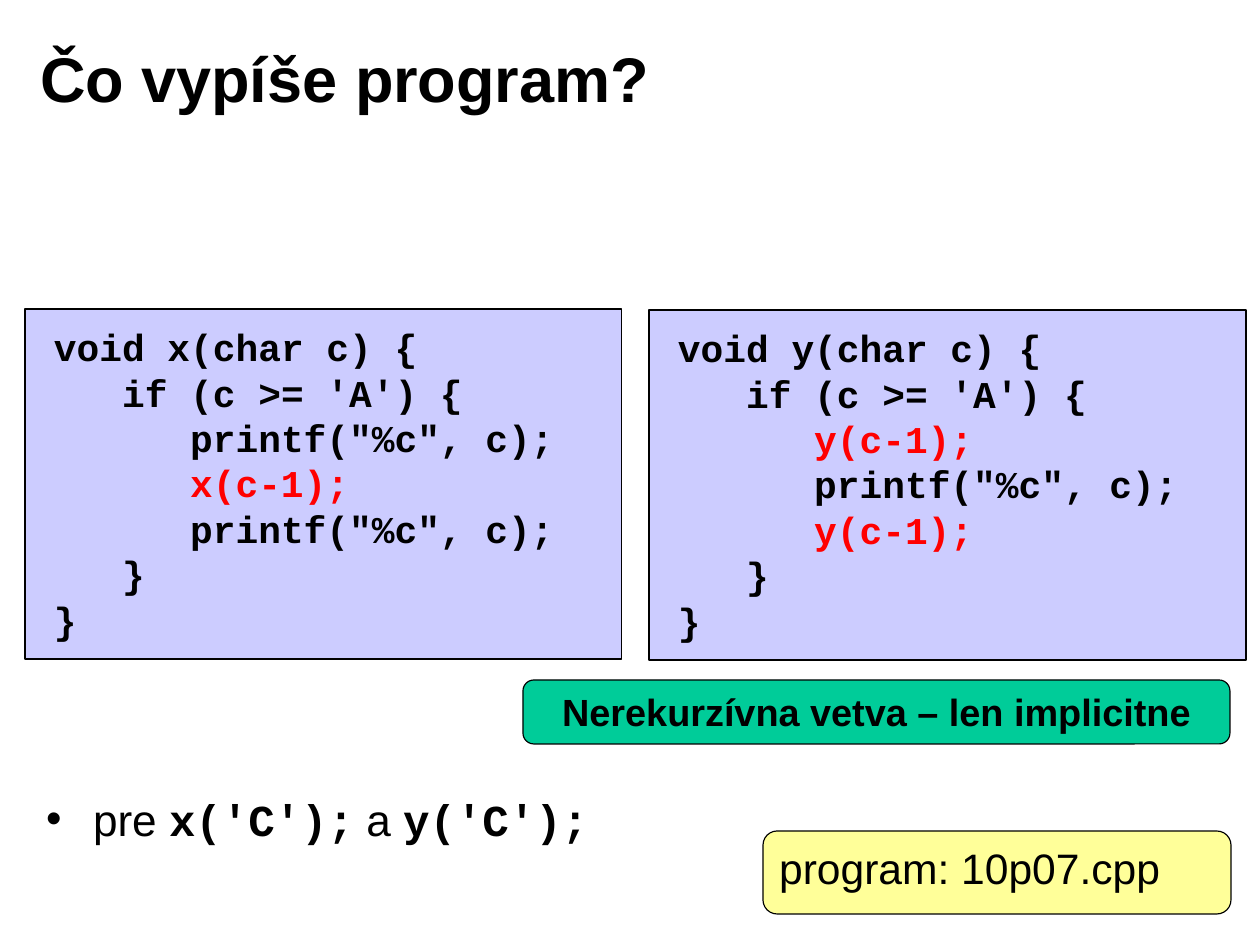
from dataclasses import dataclass

from lxml.etree import SubElement
from pptx import Presentation
from pptx.dml.color import RGBColor
from pptx.enum.shapes import MSO_SHAPE
from pptx.enum.text import MSO_ANCHOR, MSO_AUTO_SIZE, PP_ALIGN
from pptx.oxml.ns import qn
from pptx.util import Emu, Pt

SLIDE_SIZE = (1260, 942)
TITLE = "Čo vypíše program?"
TASK = [("pre ", "text"), ("x('C');", "code"), (" a ", "text"), ("y('C');", "code")]
BRANCH_NOTE = "Nerekurzívna vetva – len implicitne"
FILE_NOTE = "program: 10p07.cpp"
PANELS = [
    {
        "corner": (25, 309),
        "recursion": "x(c-1);",
        "lines": [
            "void x(char c) {",
            "   if (c >= 'A') {",
            "      printf(\"%c\", c);",
            "      x(c-1);",
            "      printf(\"%c\", c);",
            "   }",
            "}",
        ],
    },
    {
        "corner": (649, 310),
        "recursion": "y(c-1);",
        "lines": [
            "void y(char c) {",
            "   if (c >= 'A') {",
            "      y(c-1);",
            "      printf(\"%c\", c);",
            "      y(c-1);",
            "   }",
            "}",
        ],
    },
]
PANEL_SIZE = (597, 350)
CODE_OFFSET = (18, 9)
CODE_SIZE = (527, 333)
TITLE_AREA = (28, 19, 1012, 116)
TASK_AREA = (34, 785, 1211, 83)
FILE_AREA = (763, 831, 468, 83)
BRANCH_AREA = (523, 680, 707, 64)
BULLET_INDENT = 47
WIDE_INSETS = (12, 7)
NARROW_INSETS = (11, 6)
SCALE = 914400 / 113.5


@dataclass(frozen=True)
class Theme:
    text_font: str = "Arial"
    code_font: str = "Courier New"
    ink: str = "000000"
    accent: str = "FF0000"
    panel: str = "CCCCFF"
    branch: str = "00CC99"
    file: str = "FFFF99"
    title_size: int = 40
    task_size: int = 28
    file_size: int = 27
    code_size: int = 24
    line_width: float = 0.75


THEME = Theme()


def px(value):
    return Emu(round(value * SCALE))


def add_span(para, text, size, font=THEME.text_font, bold=False, color=THEME.ink):
    span = para.add_run()
    span.text = text
    span.font.name = font
    span.font.size = Pt(size)
    span.font.bold = bold
    span.font.color.rgb = RGBColor.from_string(color)


def prepare_frame(box, insets, anchor=MSO_ANCHOR.TOP, wrap=True):
    frame = box.text_frame
    frame.word_wrap = wrap
    frame.auto_size = MSO_AUTO_SIZE.NONE
    frame.vertical_anchor = anchor
    frame.margin_left = frame.margin_right = px(insets[0])
    frame.margin_top = frame.margin_bottom = px(insets[1])
    para = frame.paragraphs[0]
    para.alignment = PP_ALIGN.LEFT
    return para


def add_text(shapes, area, insets, **options):
    box = shapes.add_textbox(*map(px, area))
    return prepare_frame(box, insets, **options)


def add_block(shapes, kind, area, fill):
    block = shapes.add_shape(kind, *map(px, area))
    block.shadow.inherit = False
    block.fill.solid()
    block.fill.fore_color.rgb = RGBColor.from_string(fill)
    block.line.color.rgb = RGBColor.from_string(THEME.ink)
    block.line.width = Pt(THEME.line_width)
    return block


def add_bullet(para):
    properties = para._p.get_or_add_pPr()
    properties.set("marL", str(px(BULLET_INDENT)))
    properties.set("indent", str(-px(BULLET_INDENT)))
    SubElement(properties, qn("a:buFont"), typeface=THEME.text_font)
    SubElement(properties, qn("a:buChar"), char="•")


def add_panel(page, panel):
    group = page.shapes.add_group_shape()
    left, top = panel["corner"]
    add_block(group.shapes, MSO_SHAPE.RECTANGLE, (left, top, *PANEL_SIZE), THEME.panel)
    code_area = (left + CODE_OFFSET[0], top + CODE_OFFSET[1], *CODE_SIZE)
    box = group.shapes.add_textbox(*map(px, code_area))
    para = prepare_frame(box, NARROW_INSETS, wrap=False)
    box.text_frame.auto_size = MSO_AUTO_SIZE.SHAPE_TO_FIT_TEXT
    for index, line in enumerate(panel["lines"]):
        if index:
            para = box.text_frame.add_paragraph()
            para.alignment = PP_ALIGN.LEFT
        before, call, _ = line.partition(panel["recursion"])
        for text, color in ((before, THEME.ink), (call, THEME.accent)):
            if text:
                add_span(para, text, THEME.code_size, THEME.code_font, True, color)


def add_note(page, area, fill, text, size, insets, bold=False, align=PP_ALIGN.LEFT):
    note = add_block(page.shapes, MSO_SHAPE.ROUNDED_RECTANGLE, area, fill)
    note.adjustments[0] = 0.17
    para = prepare_frame(note, insets)
    para.alignment = align
    add_span(para, text, size, bold=bold)


def main():
    deck = Presentation()
    deck.slide_width, deck.slide_height = map(px, SLIDE_SIZE)
    page = deck.slides.add_slide(deck.slide_layouts[6])

    title = add_text(page.shapes, TITLE_AREA, WIDE_INSETS, anchor=MSO_ANCHOR.MIDDLE)
    add_span(title, TITLE, THEME.title_size, bold=True)

    task = add_text(page.shapes, TASK_AREA, WIDE_INSETS)
    add_bullet(task)
    for text, style in TASK:
        is_code = style == "code"
        font = THEME.code_font if is_code else THEME.text_font
        add_span(task, text, THEME.task_size, font, is_code)

    for panel in PANELS:
        add_panel(page, panel)

    add_note(page, FILE_AREA, THEME.file, FILE_NOTE, THEME.file_size, WIDE_INSETS)
    add_note(page, BRANCH_AREA, THEME.branch, BRANCH_NOTE, THEME.code_size,
             NARROW_INSETS, bold=True, align=PP_ALIGN.CENTER)
    deck.save("out.pptx")


if __name__ == "__main__":
    main()
